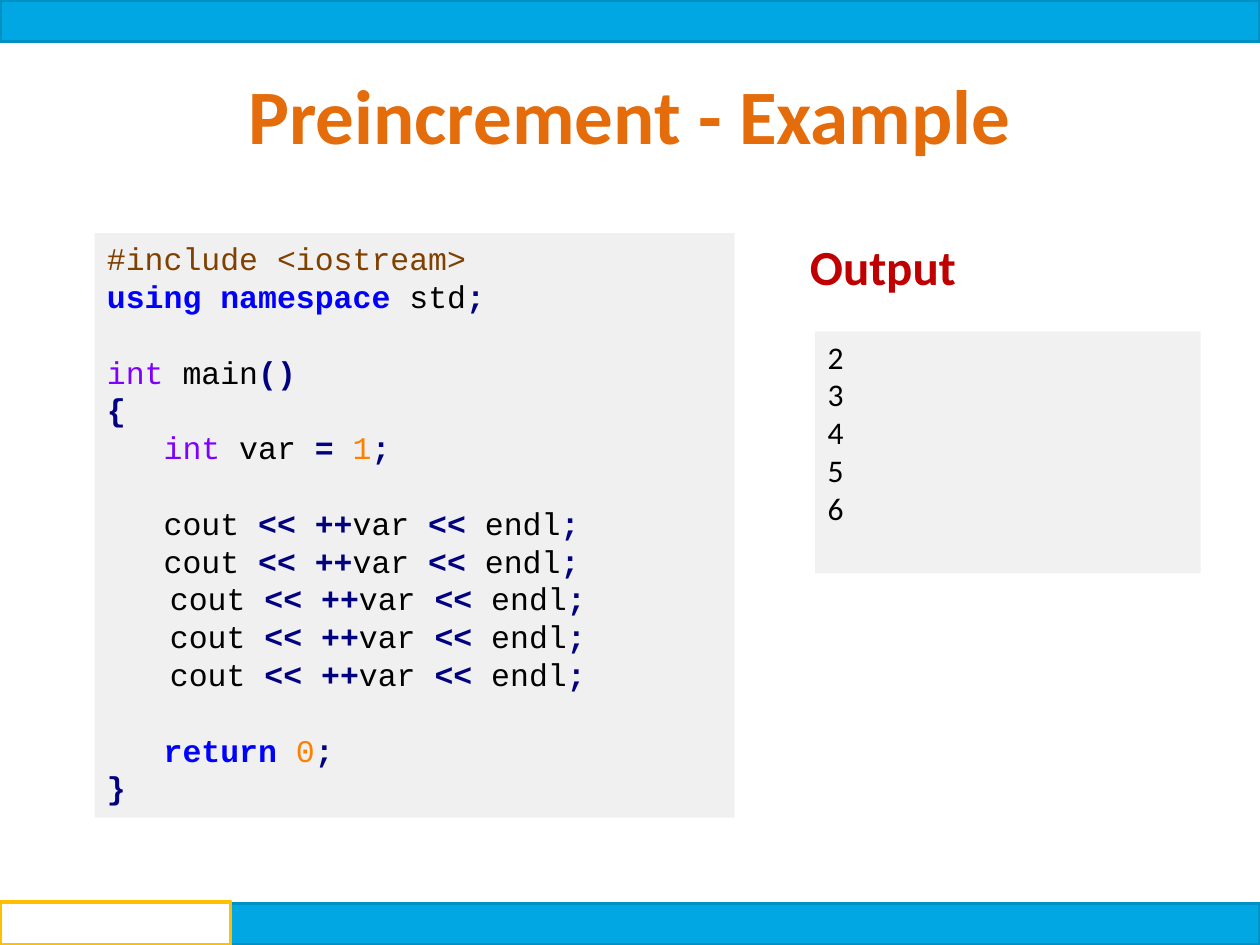
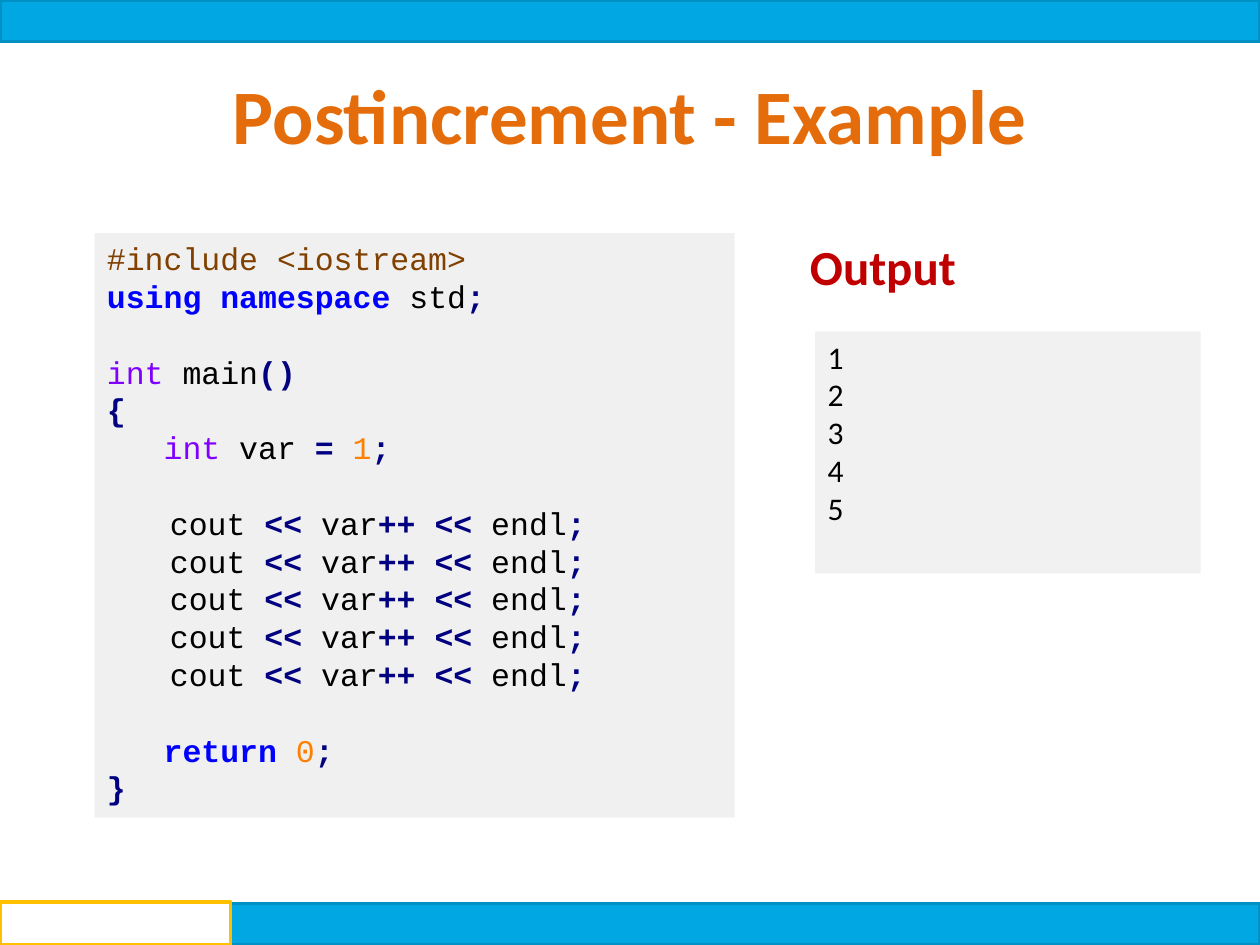
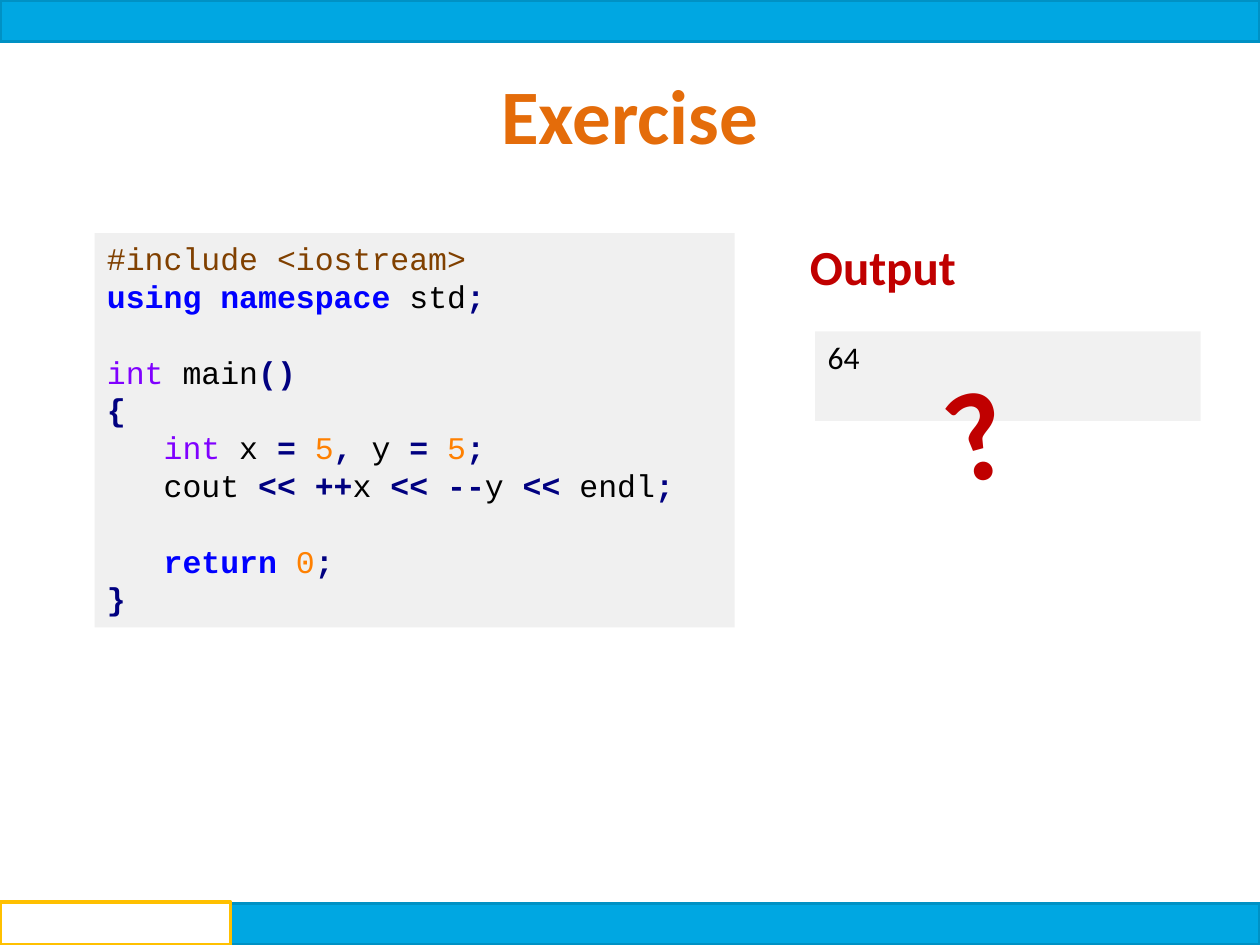
from itertools import groupby

from lxml.etree import SubElement
from pptx import Presentation
from pptx.dml.color import RGBColor
from pptx.enum.shapes import MSO_SHAPE as Shape
from pptx.enum.text import MSO_ANCHOR as Anchor, PP_ALIGN as Align
from pptx.oxml.ns import qn
from pptx.util import Inches, Pt

HEX = {
    "band": "00A7E2", "edge": "0091C4", "white": "FFFFFF", "gold": "FFC000",
    "title": "E46C0A", "red": "C00000", "panel": "D9D9D9",
    "include": "804000", "key": "0000FF", "type": "8000FF",
    "number": "FF8000", "sign": "000080", "plain": "000000",
}
SANS, MONO = "Calibri", "Courier New"
KEYS = {"using", "namespace", "return"}
BOLD = {"key", "sign"}

HEAD = ["#include <iostream>", "using namespace std;", "", "int main()", "{"]
TAIL = ["", "   return 0;", "}"]
PRE = "cout << ++var << endl;"
POST = "cout << var++ << endl;"

# A leading tab marks a line set in by paragraph indent.
SLIDES = [
    {"title": "Preincrement - Example",
     "code": ["   int var = 1;", ""] + ["   " + PRE] * 2 + ["\t" + PRE] * 3,
     "output": ["2", "3", "4", "5", "6"], "heights": (4.64, 1.92)},
    {"title": "Postincrement - Example",
     "code": ["   int var = 1;", ""] + ["\t" + POST] * 5,
     "output": ["1", "2", "3", "4", "5"], "heights": (4.64, 1.92)},
    {"title": "Exercise",
     "code": ["   int x = 5, y = 5;", "   cout << ++x << --y << endl;"],
     "output": ["64"], "heights": (3.13, 0.71), "mark": "?"},
]


def color(name):
    return RGBColor.from_string(HEX[name])


def style(font, size, name, tint, bold=False):
    font.size, font.name, font.bold = Pt(size), name, bold
    font.color.rgb = color(tint)


def add_rect(slide, at, fill, edge=None, width=2, alpha=None):
    """Add a flat rectangle; alpha is its opacity in percent."""
    rect = slide.shapes.add_shape(Shape.RECTANGLE, *map(Inches, at))
    rect.shadow.inherit = False
    rect.fill.solid()
    rect.fill.fore_color.rgb = color(fill)
    if edge:
        rect.line.color.rgb = color(edge)
        rect.line.width = Pt(width)
    else:
        rect.line.fill.background()
    if alpha:
        tint = rect._element.spPr.find(qn("a:solidFill"))[0]
        SubElement(tint, qn("a:alpha"), val=str(alpha * 1000))
    return rect


def add_panel(slide, at, lines, alpha):
    frame = add_rect(slide, at, "panel", alpha=alpha).text_frame
    frame.word_wrap = True
    frame.vertical_anchor = Anchor.TOP
    frame.text = "\n".join(lines)
    for para in frame.paragraphs:
        para.alignment = Align.LEFT
    return frame


def add_label(slide, at, text, size, tint, align=Align.LEFT):
    box = slide.shapes.add_textbox(*map(Inches, at))
    box.text_frame.word_wrap = True
    para = box.text_frame.paragraphs[0]
    para.text, para.alignment = text, align
    style(para.runs[0].font, size, SANS, tint, True)
    return box


def char_class(char):
    if char.isspace():
        return "space"
    return "word" if char.isalnum() else "sign"


def kinds(line):
    """Yield (kind, text) for each token; spaces go with the token before."""
    if line.startswith("#"):
        yield "include", line
        return
    kind = "plain"
    for group, chars in groupby(line, char_class):
        text = "".join(chars)
        if group == "sign":
            kind = "sign"
        elif group == "word":
            kind = ("key" if text in KEYS else "type" if text == "int"
                    else "number" if text.isdigit() else "plain")
        yield kind, text


def add_code(slide, at, lines):
    frame = add_panel(slide, at, [""] * len(lines), 38)
    for para, line in zip(frame.paragraphs, lines):
        if line.startswith("\t"):
            para._p.get_or_add_pPr().set("marL", str(Inches(0.5)))
        for kind, parts in groupby(kinds(line.lstrip("\t")), lambda t: t[0]):
            run = para.add_run()
            run.text = "".join(text for _, text in parts)
            style(run.font, 18, MONO, kind, kind in BOLD)


def add_output(slide, at, lines):
    for para in add_panel(slide, at, lines, 35).paragraphs:
        style(para.runs[0].font, 18, SANS, "plain")


def add_frame(slide, title):
    """Add the bands and the title that every slide has."""
    add_rect(slide, (0, 0, 10, 0.33), "band", "edge")
    add_label(slide, (0.25, 0.49, 9.5, 0.84), title, 44, "title", Align.CENTER)
    add_rect(slide, (0, 7.17, 10, 0.33), "band", "edge")
    add_rect(slide, (0, 7.16, 1.83, 0.34), "white", "gold", 2.25)


def main():
    deck = Presentation()
    deck.slide_width, deck.slide_height = Inches(10), Inches(7.5)
    for page in SLIDES:
        slide = deck.slides.add_slide(deck.slide_layouts[6])
        tall, low = page["heights"]
        add_frame(slide, page["title"])
        add_code(slide, (0.75, 1.85, 5.08, tall), HEAD + page["code"] + TAIL)
        add_label(slide, (6.33, 1.83, 3.33, 0.57), "Output", 28, "red")
        add_output(slide, (6.47, 2.63, 3.06, low), page["output"])
        if "mark" in page:
            mark = add_label(slide, (7.39, 2.61, 1.83, 1.31), page["mark"], 72, "red")
            mark.rotation = 344.7
    deck.save("out.pptx")


if __name__ == "__main__":
    main()
